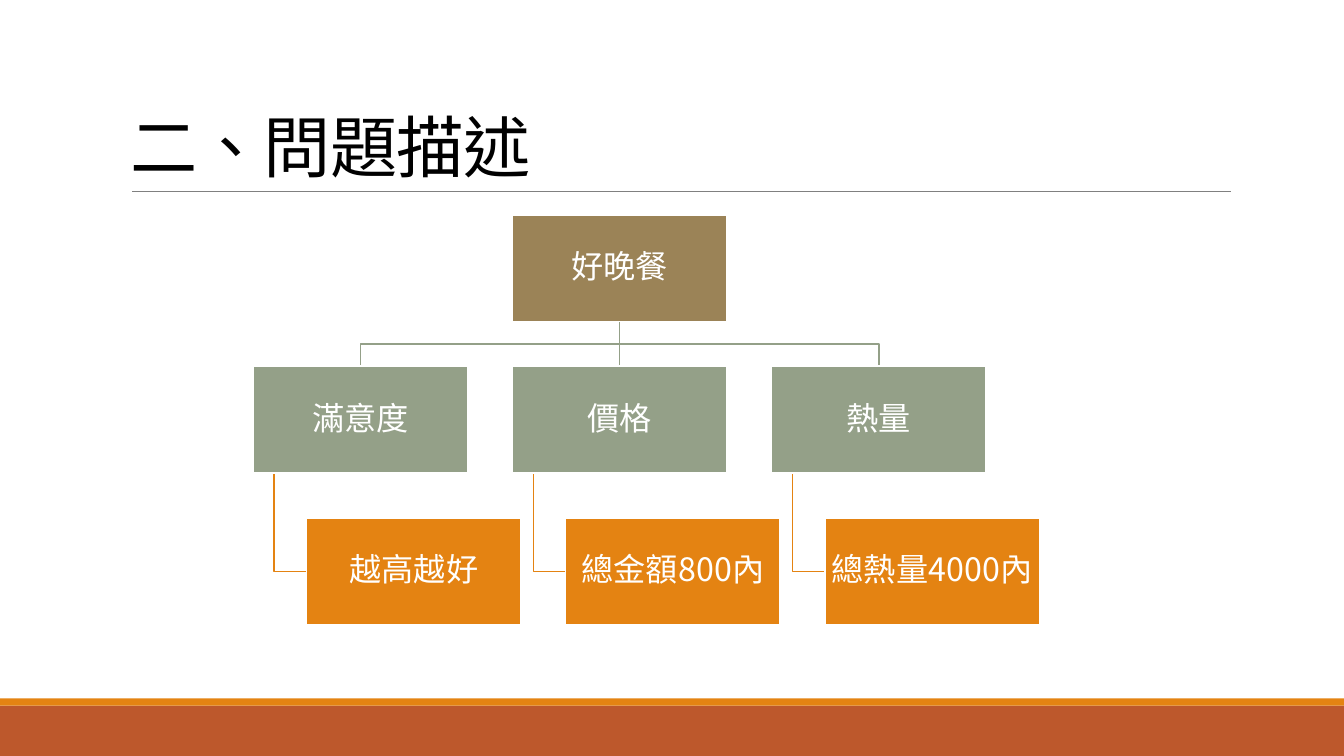
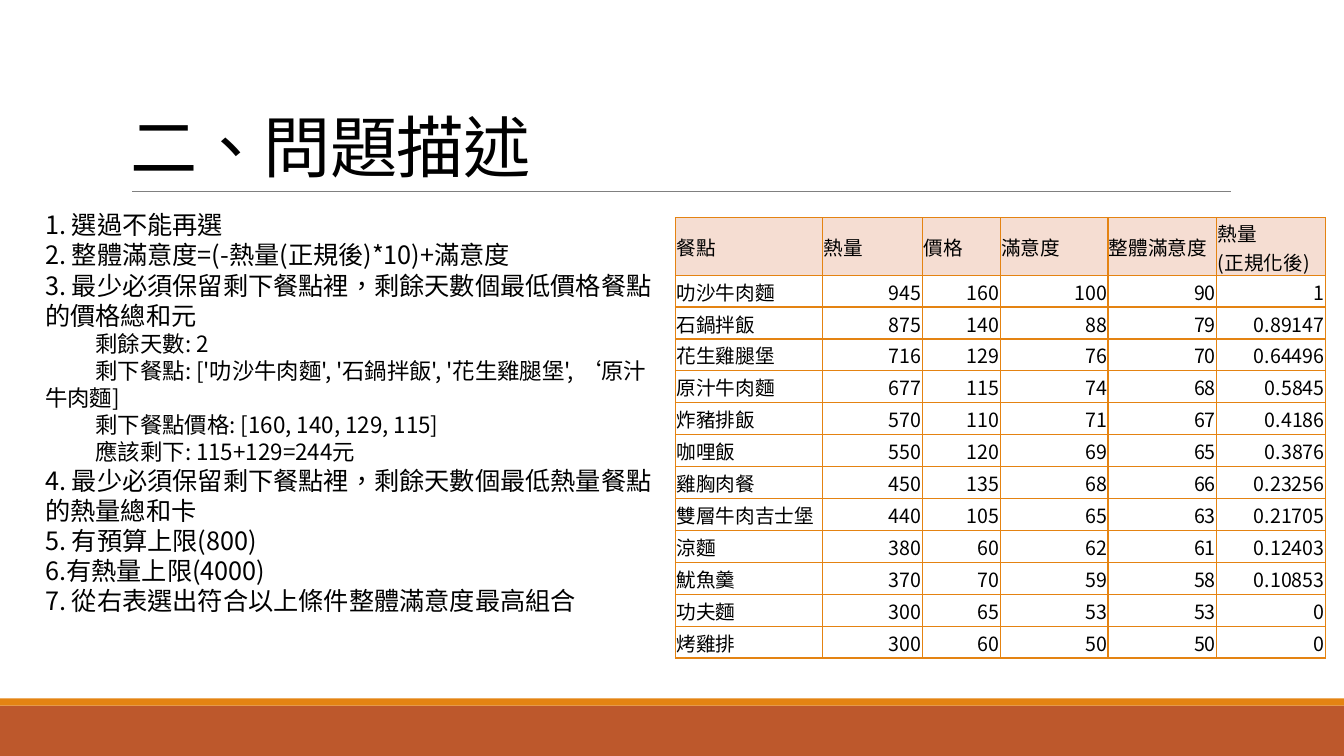
import pptx
import pptx.util
import pptx.dml.color
import pptx.enum.lang
import pptx.enum.shapes
import pptx.enum.text
import pptx.oxml
import pptx.oxml.ns
from pptx.util import Inches, Pt
from pptx.dml.color import RGBColor

FONT = "Noto Sans CJK SC"
BLACK = RGBColor(0x00, 0x00, 0x00)
WHITE = RGBColor(0xFF, 0xFF, 0xFF)
GRAY = RGBColor(0x80, 0x80, 0x80)
RUST = RGBColor(0xBD, 0x58, 0x2C)
ORANGE = RGBColor(0xE4, 0x83, 0x12)
BROWN = RGBColor(0x9B, 0x83, 0x57)
SAGE = RGBColor(0x94, 0xA0, 0x88)
BLUSH = RGBColor(0xF5, 0xDD, 0xD2)
RECTANGLE = pptx.enum.shapes.MSO_SHAPE.RECTANGLE
STRAIGHT = pptx.enum.shapes.MSO_CONNECTOR.STRAIGHT
ALIGN = pptx.enum.text.PP_ALIGN
ANCHOR = pptx.enum.text.MSO_ANCHOR


def add_run(paragraph, text, size, color):
    run = paragraph.add_run()
    run.text = text
    run.font.size = Pt(size)
    run.font.name = FONT
    run.font.color.rgb = color
    run.font._element.set("lang", "zh-TW")
    east_asian = run.font._element.makeelement(pptx.oxml.ns.qn("a:ea"), {"typeface": FONT})
    run.font._element.append(east_asian)
    return run


def add_line(slide, points, color, width):
    """Draw a straight connector for two points, an open outline for more."""
    points = [(Inches(x), Inches(y)) for x, y in points]
    if len(points) == 2:
        line = slide.shapes.add_connector(STRAIGHT, *points[0], *points[1])
    else:
        builder = slide.shapes.build_freeform(*points[0])
        builder.add_line_segments(points[1:], close=False)
        line = builder.convert_to_shape()
        line.fill.background()
    line.line.color.rgb = color
    line.line.width = Pt(width)
    properties = line._element.spPr
    properties.append(properties.makeelement(pptx.oxml.ns.qn("a:effectLst"), {}))


presentation = pptx.Presentation()
presentation.slide_width = Inches(13.33)
presentation.slide_height = Inches(7.5)

# Shared frame: bottom bands, title and rule
for _ in range(2):
    slide = presentation.slides.add_slide(presentation.slide_layouts[6])
    for top, height, color in [(7, 0.5, RUST), (6.93, 0.07, ORANGE)]:
        band = slide.shapes.add_shape(
            RECTANGLE, 0, Inches(top), presentation.slide_width, Inches(height))
        band.shadow.inherit = False
        band.fill.solid()
        band.fill.fore_color.rgb = color
        band.line.fill.background()
    add_line(slide, [(1.31, 1.9), (12.21, 1.9)], GRAY, 0.5)
    title = slide.shapes.add_textbox(Inches(1.2), Inches(0.31), Inches(11), Inches(1.59))
    title.text_frame.word_wrap = True
    title.text_frame.vertical_anchor = ANCHOR.BOTTOM
    paragraph = title.text_frame.paragraphs[0]
    paragraph.line_spacing = 0.85
    run = add_run(paragraph, "二、問題描述", 48, BLACK)
    run.font._element.set("spc", "-50")

tree_slide, rules_slide = presentation.slides

# Slide 1: tree of criteria on a grid of three columns and three rows
BOX_WIDTH, BOX_HEIGHT = 2.13, 1.06
LEFT, COLUMN_STEP = 2.51, 2.57
TOP, ROW_STEP = 2.13, 1.505
LEAF_INDENT, STUB_INDENT = 0.53, 0.21
criteria = [("滿意度", "越高越好"), ("價格", "總金額800內"), ("熱量", "總熱量4000內")]

root_left = LEFT + COLUMN_STEP
root_center = root_left + BOX_WIDTH / 2
root_bottom = TOP + BOX_HEIGHT
criterion_top = TOP + ROW_STEP
leaf_top = criterion_top + ROW_STEP
leaf_middle = leaf_top + BOX_HEIGHT / 2
branch_y = (root_bottom + criterion_top) / 2

boxes = [("好晚餐", root_left, TOP, BROWN)]
for column, (criterion, limit) in enumerate(criteria):
    left = LEFT + column * COLUMN_STEP
    center = left + BOX_WIDTH / 2
    stub = left + STUB_INDENT
    boxes.append((criterion, left, criterion_top, SAGE))
    boxes.append((limit, left + LEAF_INDENT, leaf_top, ORANGE))
    add_line(tree_slide, [(root_center, root_bottom), (root_center, branch_y),
                          (center, branch_y), (center, criterion_top)], SAGE, 1.25)
    add_line(tree_slide, [(stub, criterion_top + BOX_HEIGHT), (stub, leaf_middle),
                          (left + LEAF_INDENT, leaf_middle)], ORANGE, 1.25)

for text, left, top, color in boxes:
    box = tree_slide.shapes.add_shape(
        RECTANGLE, Inches(left), Inches(top), Inches(BOX_WIDTH), Inches(BOX_HEIGHT))
    box.shadow.inherit = False
    box.fill.solid()
    box.fill.fore_color.rgb = color
    box.line.color.rgb = WHITE
    box.line.width = Pt(1.25)
    frame = box.text_frame
    frame.word_wrap = True
    frame.vertical_anchor = ANCHOR.MIDDLE
    frame.margin_left = frame.margin_right = Inches(0.02)
    frame.margin_top = frame.margin_bottom = Inches(0.02)
    paragraph = frame.paragraphs[0]
    paragraph.alignment = ALIGN.CENTER
    paragraph.line_spacing = 0.9
    add_run(paragraph, text, 23, WHITE)

# Slide 2: table of meals
header = ["餐點", "熱量", "價格", "滿意度", "整體滿意度", "熱量\n(正規化後)"]
meals = [
    ("叻沙牛肉麵", 945, 160, 100, 90, 1),
    ("石鍋拌飯", 875, 140, 88, 79, 0.89147),
    ("花生雞腿堡", 716, 129, 76, 70, 0.64496),
    ("原汁牛肉麵", 677, 115, 74, 68, 0.5845),
    ("炸豬排飯", 570, 110, 71, 67, 0.4186),
    ("咖哩飯", 550, 120, 69, 65, 0.3876),
    ("雞胸肉餐", 450, 135, 68, 66, 0.23256),
    ("雙層牛肉吉士堡", 440, 105, 65, 63, 0.21705),
    ("涼麵", 380, 60, 62, 61, 0.12403),
    ("魷魚羹", 370, 70, 59, 58, 0.10853),
    ("功夫麵", 300, 65, 53, 53, 0),
    ("烤雞排", 300, 60, 50, 50, 0),
]
column_widths = [1.46, 0.99, 0.77, 1.07, 1.08, 1.08]
HEADER_HEIGHT, MEALS_HEIGHT = 0.57, 3.8

table = rules_slide.shapes.add_table(
    len(meals) + 1, len(header), Inches(6.7), Inches(2.16),
    Inches(sum(column_widths)), Inches(HEADER_HEIGHT + MEALS_HEIGHT)).table
table.first_row = table.horz_banding = False
for column, width in enumerate(column_widths):
    table.columns[column].width = Inches(width)
for row, values in enumerate([header, *meals]):
    table.rows[row].height = Inches(MEALS_HEIGHT / len(meals) if row else HEADER_HEIGHT)
    for column, value in enumerate(values):
        cell = table.cell(row, column)
        cell.vertical_anchor = ANCHOR.MIDDLE
        cell.margin_left = cell.margin_right = cell.margin_top = Inches(0.01)
        cell.margin_bottom = 0
        if row == 0:
            cell.fill.solid()
            cell.fill.fore_color.rgb = BLUSH
        else:
            cell.fill.background()
        for index, text in enumerate(str(value).split("\n")):
            frame = cell.text_frame
            paragraph = frame.add_paragraph() if index else frame.paragraphs[0]
            paragraph.alignment = ALIGN.RIGHT if row and column else ALIGN.LEFT
            add_run(paragraph, text, 14, BLACK)
        # Cell borders come before the fill in the cell properties
        for index, side in enumerate(["lnL", "lnR", "lnT", "lnB"]):
            border = pptx.oxml.parse_xml(
                f'<a:{side} {pptx.oxml.ns.nsdecls("a")} w="{Pt(1)}"><a:solidFill>'
                f'<a:srgbClr val="{ORANGE}"/></a:solidFill></a:{side}>')
            cell._tc.get_or_add_tcPr().insert(index, border)

# Slide 2: numbered rules, with the worked example in smaller type
rules = [
    ("1. 選過不能再選", 18),
    ("2. 整體滿意度=(-熱量(正規後)*10)+滿意度", 18),
    ("3. 最少必須保留剩下餐點裡，剩餘天數個最低價格餐點的價格總和元", 18),
    ("\t剩餘天數: 2", 16),
    ("\t剩下餐點: ['叻沙牛肉麵', '石鍋拌飯', '花生雞腿堡', ‘原汁\t牛肉麵]", 16),
    ("\t剩下餐點價格: [160, 140, 129, 115]", 16),
    ("\t應該剩下: 115+129=244元", 16),
    ("4. 最少必須保留剩下餐點裡，剩餘天數個最低熱量餐點的熱量總和卡", 18),
    ("5. 有預算上限(800)", 18),
    ("6.有熱量上限(4000)", 18),
    ("7. 從右表選出符合以上條件整體滿意度最高組合", 18),
]
rules_box = rules_slide.shapes.add_textbox(
    Inches(0.35), Inches(2.03), Inches(6.32), Inches(4.17))
frame = rules_box.text_frame
frame.word_wrap = True
for index, (text, size) in enumerate(rules):
    paragraph = frame.add_paragraph() if index else frame.paragraphs[0]
    add_run(paragraph, text, size, BLACK)
    if "\t" in text:
        paragraph._p.get_or_add_pPr().append(pptx.oxml.parse_xml(
            f'<a:tabLst {pptx.oxml.ns.nsdecls("a")}>'
            f'<a:tab pos="{Inches(0.5)}" algn="l"/><a:tab pos="{Inches(1)}" algn="l"/>'
            '</a:tabLst>'))

presentation.save("out.pptx")
